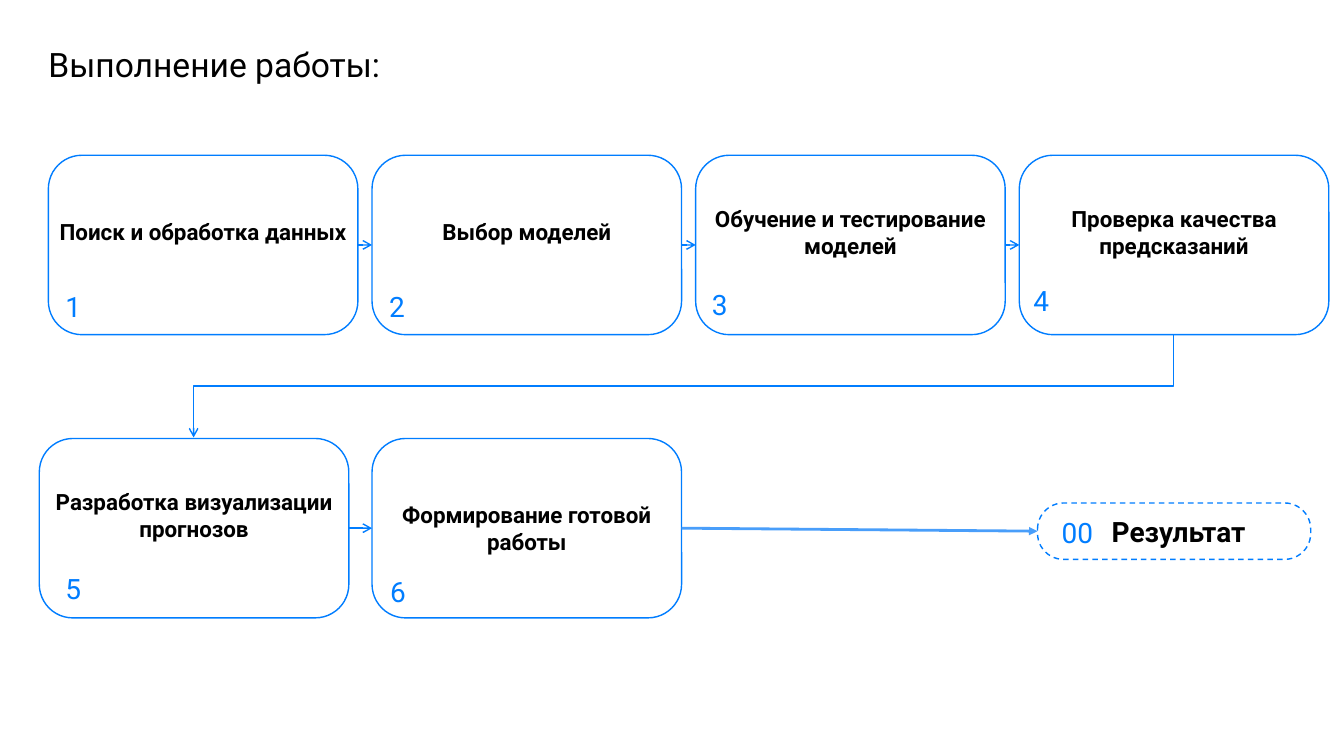
from lxml import etree
from pptx import Presentation
from pptx.dml.color import RGBColor
from pptx.enum.dml import MSO_LINE
from pptx.enum.shapes import MSO_CONNECTOR, MSO_SHAPE
from pptx.enum.text import MSO_ANCHOR, PP_ALIGN
from pptx.oxml.ns import qn
from pptx.util import Pt

PX = 9144  # 100 px to the inch
COLORS = {"blue": "007DFF", "light_blue": "499EFA", "black": "000000", "white": "FFFFFF"}
FONT = "Roboto"
ROUNDED = MSO_SHAPE.ROUNDED_RECTANGLE
STRAIGHT, ELBOW = MSO_CONNECTOR.STRAIGHT, MSO_CONNECTOR.ELBOW
LEFT, CENTER = PP_ALIGN.LEFT, PP_ALIGN.CENTER
TOP, MIDDLE, BOTTOM = MSO_ANCHOR.TOP, MSO_ANCHOR.MIDDLE, MSO_ANCHOR.BOTTOM
DASH = MSO_LINE.DASH

STEP_W, STEP_H = 307, 178
STEP_X, STEP_PITCH = 48, 321
ROW_1, ROW_2 = 154, 435
LIFT = 26  # bottom inset that raises a caption by half a line


def color(name):
    return RGBColor.from_string(COLORS[name])


class FlowPage:
    def __init__(self, deck):
        self.page = deck.slides.add_slide(deck.slide_layouts[6])

    def set_text(self, shape, text, size, tone="black", bold=False, align=LEFT,
                 anchor=TOP, spacing=1.0, lift=0):
        frame = shape.text_frame
        frame.word_wrap = True
        frame.vertical_anchor = anchor
        frame.margin_left = frame.margin_right = frame.margin_top = 0
        frame.margin_bottom = lift * PX
        frame.text = text
        para = frame.paragraphs[0]
        para.alignment = align
        para.line_spacing = spacing
        font = para.runs[0].font
        font.name, font.size, font.bold = FONT, Pt(size), bold
        font.color.rgb = color(tone)

    def label(self, x, y, w, h, text, size, **style):
        box = self.page.shapes.add_textbox(x * PX, y * PX, w * PX, h * PX)
        self.set_text(box, text, size, **style)

    def number(self, x, y, text):
        self.label(x, y, 47, 33, text, 20, tone="blue")

    def rounded(self, x, y, w, h, radius, dash=None):
        box = self.page.shapes.add_shape(ROUNDED, x * PX, y * PX, w * PX, h * PX)
        box.adjustments[0] = radius
        box.shadow.inherit = False
        box.fill.solid()
        box.fill.fore_color.rgb = color("white")
        box.line.color.rgb = color("blue")
        box.line.width = Pt(1)
        if dash:
            box.line.dash_style = dash
        return box

    def step(self, x, y, text, lift=LIFT):
        box = self.rounded(x, y, STEP_W, STEP_H, 0.187)
        self.set_text(box, text, 16, bold=True, align=CENTER, anchor=MIDDLE, lift=lift)

    def arrow(self, x1, y1, x2, y2, kind=STRAIGHT, tone="blue", width=1, head="arrow"):
        link = self.page.shapes.add_connector(kind, x1 * PX, y1 * PX, x2 * PX, y2 * PX)
        link.line.color.rgb = color(tone)
        link.line.width = Pt(width)
        properties = link._element.spPr
        etree.SubElement(properties.find(qn("a:ln")), qn("a:tailEnd"), type=head)
        etree.SubElement(properties, qn("a:effectLst"))
        return link

    def drop_arrow(self, x1, y1, x2, y2):
        """Elbow that leaves downwards: drawn upright, then turned by 90 degrees."""
        mid_x, mid_y = (x1 + x2) // 2, (y1 + y2) // 2
        half_w, half_h = (y2 - y1) // 2, (x1 - x2) // 2
        link = self.arrow(mid_x - half_w, mid_y - half_h,
                          mid_x + half_w, mid_y + half_h, kind=ELBOW)
        link._element.spPr.find(qn("a:xfrm")).set("rot", "5400000")


def main():
    deck = Presentation()
    deck.slide_width, deck.slide_height = 1333 * PX, 750 * PX
    flow = FlowPage(deck)

    # Title
    flow.label(48, 48, 1236, 71, "Выполнение работы:", 24, spacing=0.9)

    # Result
    flow.rounded(1029, 499, 271, 56, 0.463, dash=DASH)
    flow.number(1053, 511, "00")
    flow.label(1076, 514, 186, 30, "Результат", 20, bold=True,
               align=CENTER, anchor=BOTTOM, spacing=0.9)

    # First row of steps, with the place of each number
    first_row = [
        ("Поиск и обработка данных", 65, 287),
        ("Выбор моделей", 386, 287),
        ("Обучение и тестирование моделей", 706, 285),
        ("Проверка качества предсказаний", 1025, 281),
    ]
    row_1_middle = ROW_1 + STEP_H // 2
    for index, (text, number_x, number_y) in enumerate(first_row):
        x = STEP_X + index * STEP_PITCH
        flow.step(x, ROW_1, text)
        flow.number(number_x, number_y, str(index + 1))
        if index:
            flow.arrow(x - STEP_PITCH + STEP_W, row_1_middle, x, row_1_middle)

    # Second row of steps
    step_5_x, step_6_x = 39, STEP_X + STEP_PITCH
    row_2_middle = ROW_2 + STEP_H // 2
    flow.drop_arrow(1164, ROW_1 + STEP_H, step_5_x + STEP_W // 2, ROW_2)
    flow.step(step_5_x, ROW_2, "Разработка визуализации прогнозов")
    flow.number(65, 567, "5")
    flow.step(step_6_x, ROW_2, "Формирование готовой работы", lift=0)
    flow.number(387, 570, "6")
    flow.arrow(step_5_x + STEP_W, row_2_middle, step_6_x, row_2_middle)
    flow.arrow(step_6_x + STEP_W, row_2_middle, 1029, 527,
               tone="light_blue", width=2, head="triangle")

    deck.save("out.pptx")


if __name__ == "__main__":
    main()
